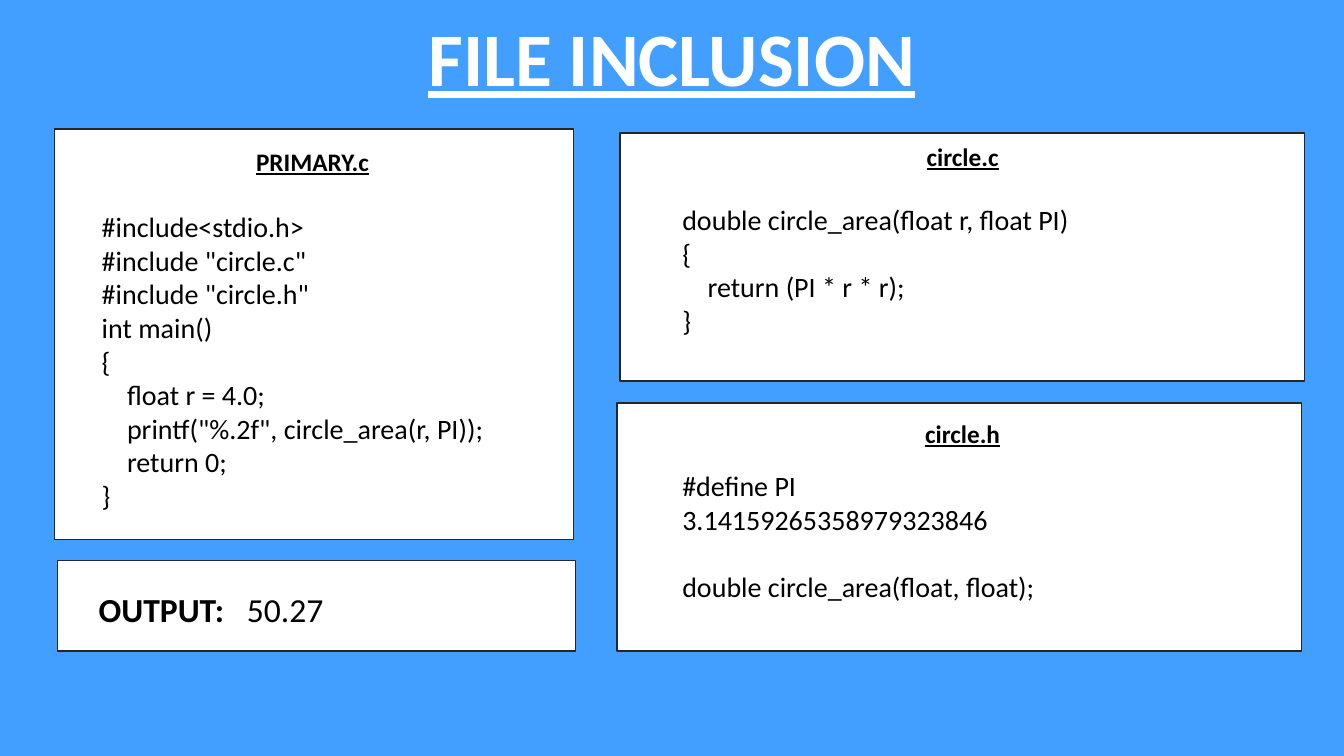
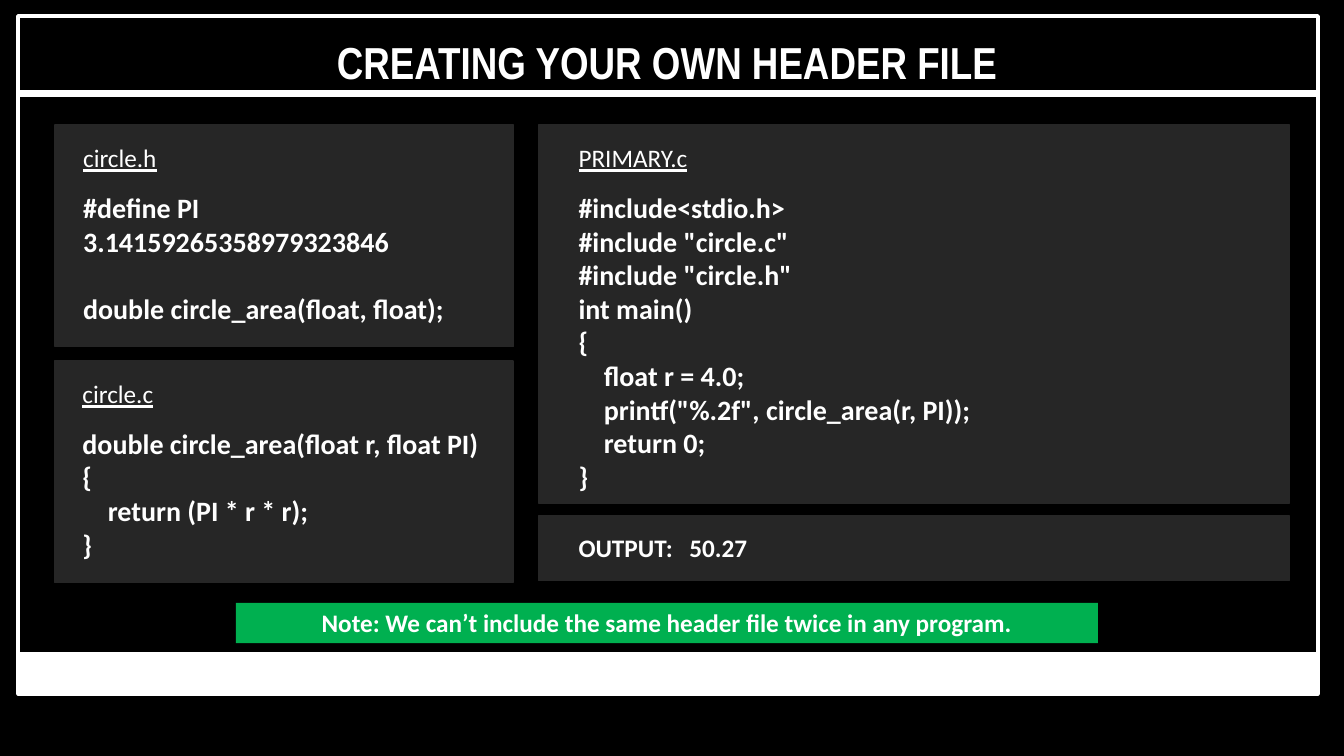
"""Build two slides on C file inclusion and writing your own header file."""
from lxml import etree
from pptx import Presentation
from pptx import util as u
from pptx.dml.color import RGBColor
from pptx.enum import shapes, text
from pptx.oxml.ns import qn

BLUE = RGBColor(0x43, 0x9F, 0xFF)
WHITE = RGBColor(0xFF, 0xFF, 0xFF)
BLACK = RGBColor(0x00, 0x00, 0x00)
CHARCOAL = RGBColor(0x26, 0x26, 0x26)
GREEN = RGBColor(0x00, 0xB0, 0x50)
BODY_FONT = "Calibri"
LINE_HEIGHT = 1.22
CODE_SIZE = 20
NAME_SIZE = 18

PRIMARY_CODE = [
    "#include<stdio.h>",
    '#include "circle.c"',
    '#include "circle.h"',
    "int main()",
    "{",
    "    float r = 4.0;",
    '    printf("%.2f", circle_area(r, PI));',
    "    return 0;",
    "}",
]
SOURCE_CODE = [
    "double circle_area(float r, float PI)",
    "{",
    "    return (PI * r * r);",
    "}",
]
HEADER_CODE = ["#define PI 3.14159265358979323846", "", "double circle_area(float, float);"]

presentation = Presentation()
presentation.slide_width = u.Inches(13.33)
presentation.slide_height = u.Inches(7.5)
COLUMN = presentation.slide_width / 100
ROW = presentation.slide_height / 100


def add_panel(slide, area, fill=None, line=None, line_width=1):
    """Add a rectangle whose area is in percent of the slide."""
    left, top, width, height = area
    panel = slide.shapes.add_shape(
        shapes.MSO_SHAPE.RECTANGLE,
        round(left * COLUMN), round(top * ROW), round(width * COLUMN), round(height * ROW))
    panel.shadow.inherit = False
    if fill is None:
        panel.fill.background()
    else:
        panel.fill.solid()
        panel.fill.fore_color.rgb = fill
    if line is None:
        panel.line.fill.background()
    else:
        panel.line.color.rgb = line
        panel.line.width = u.Pt(line_width)
    return panel


def write(shape, area, lines, size, color, bold=False, underline=False,
          centered=False, font=BODY_FONT, tab=None):
    """Place a shape and fill it with lines; an empty line becomes a gap."""
    left, top, width, height = area
    shape.left, shape.top = round(left * COLUMN), round(top * ROW)
    shape.width, shape.height = round(width * COLUMN), round(height * ROW)
    frame = shape.text_frame
    frame.word_wrap = True
    frame.auto_size = text.MSO_AUTO_SIZE.NONE
    frame.vertical_anchor = text.MSO_ANCHOR.TOP
    frame.text = "\n".join(line for line in lines if line)
    positions = [index for index, line in enumerate(lines) if line]
    for paragraph, position in zip(frame.paragraphs, positions):
        paragraph.alignment = text.PP_ALIGN.CENTER if centered else text.PP_ALIGN.LEFT
        if position and not lines[position - 1]:
            paragraph.space_before = u.Pt(size * LINE_HEIGHT)
        if tab:
            stops = etree.SubElement(paragraph._p.get_or_add_pPr(), qn("a:tabLst"))
            etree.SubElement(stops, qn("a:tab"), pos=str(u.Inches(tab)), algn="l")
        for run in paragraph.runs:
            run.font.name = font
            run.font.size = u.Pt(size)
            run.font.bold = bold
            run.font.underline = underline
            run.font.color.rgb = color
    return frame


title_only = presentation.slide_layouts[5]
inclusion, own_header = [presentation.slides.add_slide(title_only) for _ in range(2)]
for slide, color in ((inclusion, BLUE), (own_header, BLACK)):
    slide.background.fill.solid()
    slide.background.fill.fore_color.rgb = color

write(inclusion.shapes.title, (18.9, 0.8, 62.2, 13.47), ["FILE INCLUSION"], 54, WHITE,
      bold=True, underline=True, centered=True)
for name, code, panel_area, name_corner, code_area in (
    ("PRIMARY.c", PRIMARY_CODE, (4.05, 17.07, 38.65, 54.27), (6.83, 18.67), (6.83, 27.07, 44.55, 41.73)),
    ("circle.c", SOURCE_CODE, (46.13, 17.6, 50.93, 32.8), (55.2, 18), (50.03, 26.13, 32.85, 19.33)),
    ("circle.h", HEADER_CODE, (45.91, 53.33, 50.93, 32.8), (55.2, 54.67), (50.03, 61.33, 32.85, 19.33)),
):
    add_panel(inclusion, panel_area, WHITE, CHARCOAL)
    write(inclusion.shapes.add_textbox(0, 0, 0, 0), (*name_corner, 32.85, 5.33), [name],
          NAME_SIZE, BLACK, bold=True, underline=True, centered=True)
    write(inclusion.shapes.add_textbox(0, 0, 0, 0), code_area, code, CODE_SIZE, BLACK)

add_panel(inclusion, (4.27, 74.13, 38.55, 12), WHITE, CHARCOAL)
output_frame = write(inclusion.shapes.add_textbox(0, 0, 0, 0), (6.6, 77.2, 32.85, 6.67),
                     ["OUTPUT:"], 24, BLACK, bold=True, tab=1.47)
result = output_frame.paragraphs[0].add_run()
result.text = "\t50.27"
result.font.name = BODY_FONT
result.font.size = u.Pt(24)
result.font.color.rgb = BLACK

add_panel(own_header, (1.35, 2.13, 96.7, 89.6), line=WHITE, line_width=3)
add_panel(own_header, (1.2, 86.27, 96.85, 5.33), WHITE)
write(own_header.shapes.title, (18.3, 3.87, 62.7, 8.53), ["CREATING YOUR OWN HEADER FILE"],
      32, WHITE, bold=True, centered=True, font="Arial Narrow")
rule = own_header.shapes.add_connector(
    shapes.MSO_CONNECTOR.STRAIGHT,
    round(1.2 * COLUMN), round(12.4 * ROW), round(98.05 * COLUMN), round(12.4 * ROW))
rule.line.color.rgb = WHITE
rule.line.width = u.Pt(5)
etree.SubElement(rule._element.spPr, qn("a:effectLst"))

note_area = (17.55, 79.73, 64.15, 5.33)
write(add_panel(own_header, note_area, GREEN), note_area,
      ["Note: We can’t include the same header file twice in any program."],
      NAME_SIZE, WHITE, bold=True, centered=True)

for name, code, panel_area, indent, text_width in (
    ("circle.h", HEADER_CODE, (4.1, 16.53, 34.13, 29.33), 1.35, 32.85),
    ("circle.c", SOURCE_CODE, (4.05, 47.73, 34.13, 29.33), 1.35, 32.85),
    ("PRIMARY.c", PRIMARY_CODE, (40.06, 16.53, 55.89, 50), 2.25, 53.7),
):
    left, top, width, height = panel_area
    add_panel(own_header, panel_area, CHARCOAL, CHARCOAL)
    write(own_header.shapes.add_textbox(0, 0, 0, 0), (left + indent, top + 1.7, text_width, 5.33),
          [name], NAME_SIZE, WHITE, underline=True)
    write(own_header.shapes.add_textbox(0, 0, 0, 0),
          (left + indent, top + 8, text_width, height - 8), code, CODE_SIZE, WHITE, bold=True)

add_panel(own_header, (40.06, 68.27, 55.89, 8.53), CHARCOAL, CHARCOAL)
write(own_header.shapes.add_textbox(0, 0, 0, 0), (42.31, 69.73, 53.7, 5.33),
      ["OUTPUT:\t50.27"], NAME_SIZE, WHITE, bold=True, tab=1.1)

presentation.save("out.pptx")
